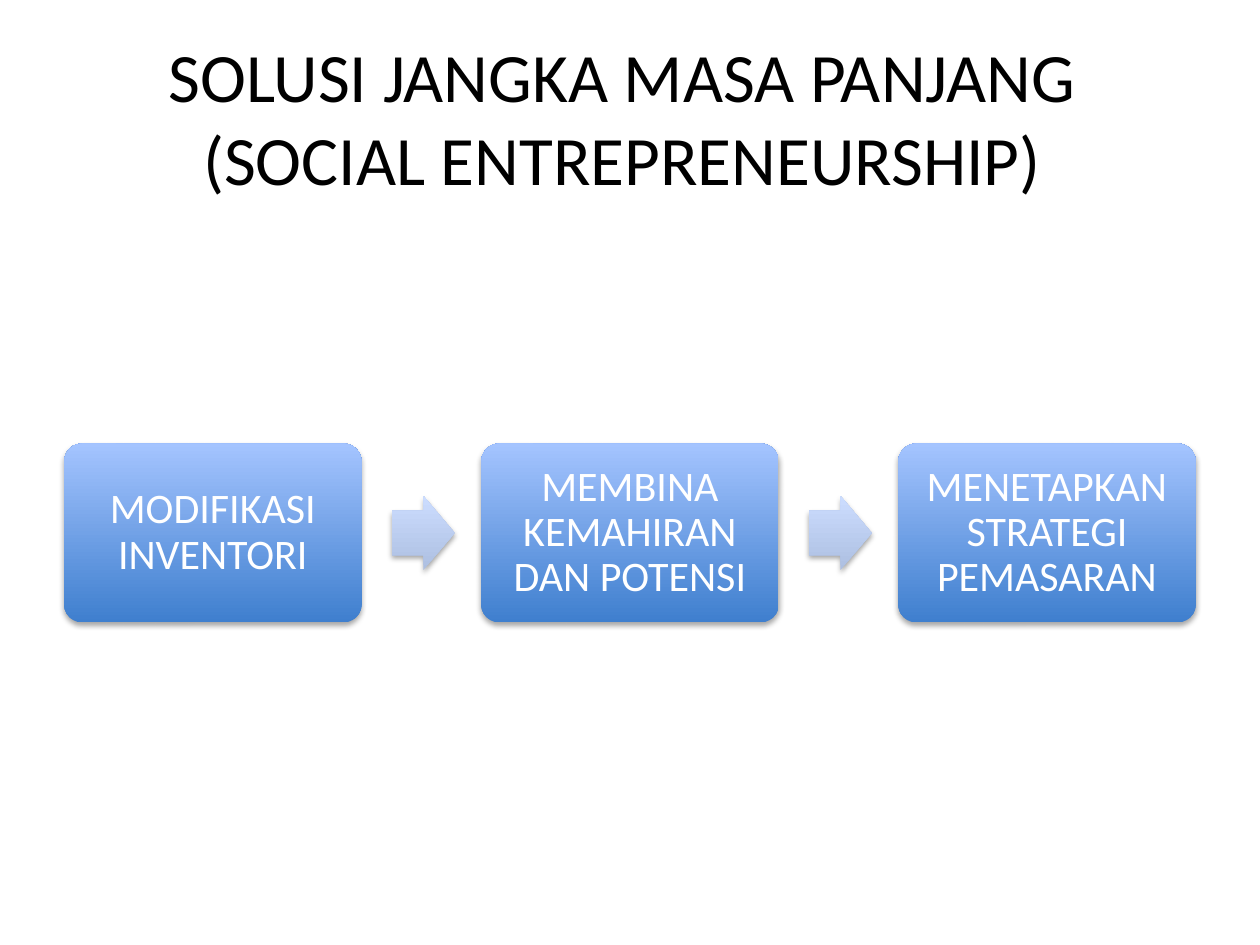
from lxml.etree import SubElement
from pptx import Presentation
from pptx.dml.color import RGBColor
from pptx.enum.shapes import MSO_SHAPE as Shape
from pptx.enum.text import MSO_ANCHOR as Anchor, PP_ALIGN as Align
from pptx.oxml.ns import qn
from pptx.util import Inches, Pt

BLACK = RGBColor(0x00, 0x00, 0x00)
WHITE = RGBColor(0xFF, 0xFF, 0xFF)
STEP_DARK = RGBColor(0x3F, 0x7F, 0xCE)
STEP_LIGHT = RGBColor(0xA4, 0xC4, 0xFF)
ARROW_DARK = RGBColor(0xAD, 0xBF, 0xE1)
ARROW_LIGHT = RGBColor(0xCC, 0xDD, 0xFF)

TITLE = "SOLUSI JANGKA MASA PANJANG \v(SOCIAL ENTREPRENEURSHIP) "
STEPS = [
    "MODIFIKASI INVENTORI",
    "MEMBINA KEMAHIRAN DAN POTENSI",
    "MENETAPKAN STRATEGI PEMASARAN",
]
STEP_LEFT, STEP_PITCH = 0.51, 3.31
STEP_WIDTH, STEP_HEIGHT = 2.36, 1.42
ARROW_OFFSET, ARROW_WIDTH, ARROW_HEIGHT = 2.6, 0.5, 0.59
FLOW_MIDDLE = 4.23


def write_text(frame, text, size, color, inset=None, line_spacing=None):
    frame.word_wrap = True
    frame.vertical_anchor = Anchor.MIDDLE
    if inset is not None:
        frame.margin_left = frame.margin_right = Inches(inset)
        frame.margin_top = frame.margin_bottom = Inches(inset)
    paragraph = frame.paragraphs[0]
    paragraph.text = text
    paragraph.alignment = Align.CENTER
    paragraph.line_spacing = line_spacing
    for run in paragraph.runs:
        run.font.name = "Calibri"
        run.font.size = Pt(size)
        run.font.color.rgb = color


def add_shadow(shape):
    shape.shadow.inherit = False
    effects = shape.element.spPr.find(qn("a:effectLst"))
    shadow = SubElement(effects, qn("a:outerShdw"), blurRad=str(Pt(3.1)),
                        dist=str(Pt(1.8)), dir="5400000", rotWithShape="0")
    color = SubElement(shadow, qn("a:srgbClr"), val=str(BLACK))
    SubElement(color, qn("a:alpha"), val="35000")


def add_flow_shape(slide, kind, left, width, height, adjustments, colors):
    shape = slide.shapes.add_shape(
        kind, Inches(left), Inches(FLOW_MIDDLE - height / 2),
        Inches(width), Inches(height))
    for index, value in enumerate(adjustments):
        shape.adjustments[index] = value
    shape.fill.gradient()
    shape.fill.gradient_angle = 90
    for stop, color in zip(shape.fill.gradient_stops, colors):
        stop.color.rgb = color
    shape.line.fill.background()
    add_shadow(shape)
    return shape


def add_title(slide):
    title = slide.shapes.title
    title.left, title.top = Inches(0.5), Inches(0.3)
    title.width, title.height = Inches(9), Inches(1.25)
    write_text(title.text_frame, TITLE, size=39.6, color=BLACK)


def add_step(slide, text, left):
    step = add_flow_shape(slide, Shape.ROUNDED_RECTANGLE, left, STEP_WIDTH,
                          STEP_HEIGHT, [0.1], [STEP_DARK, STEP_LIGHT])
    write_text(step.text_frame, text, size=24, color=WHITE,
               inset=0.14, line_spacing=0.9)


def add_arrow(slide, left):
    add_flow_shape(slide, Shape.RIGHT_ARROW, left, ARROW_WIDTH, ARROW_HEIGHT,
                   [0.6, 0.5], [ARROW_DARK, ARROW_LIGHT])


def main():
    deck = Presentation()
    deck.slide_width, deck.slide_height = Inches(10), Inches(7.5)
    slide = deck.slides.add_slide(deck.slide_layouts[5])
    add_title(slide)
    for index, text in enumerate(STEPS):
        left = STEP_LEFT + index * STEP_PITCH
        if index:
            add_arrow(slide, left - STEP_PITCH + ARROW_OFFSET)
        add_step(slide, text, left)
    deck.save("out.pptx")


if __name__ == "__main__":
    main()
